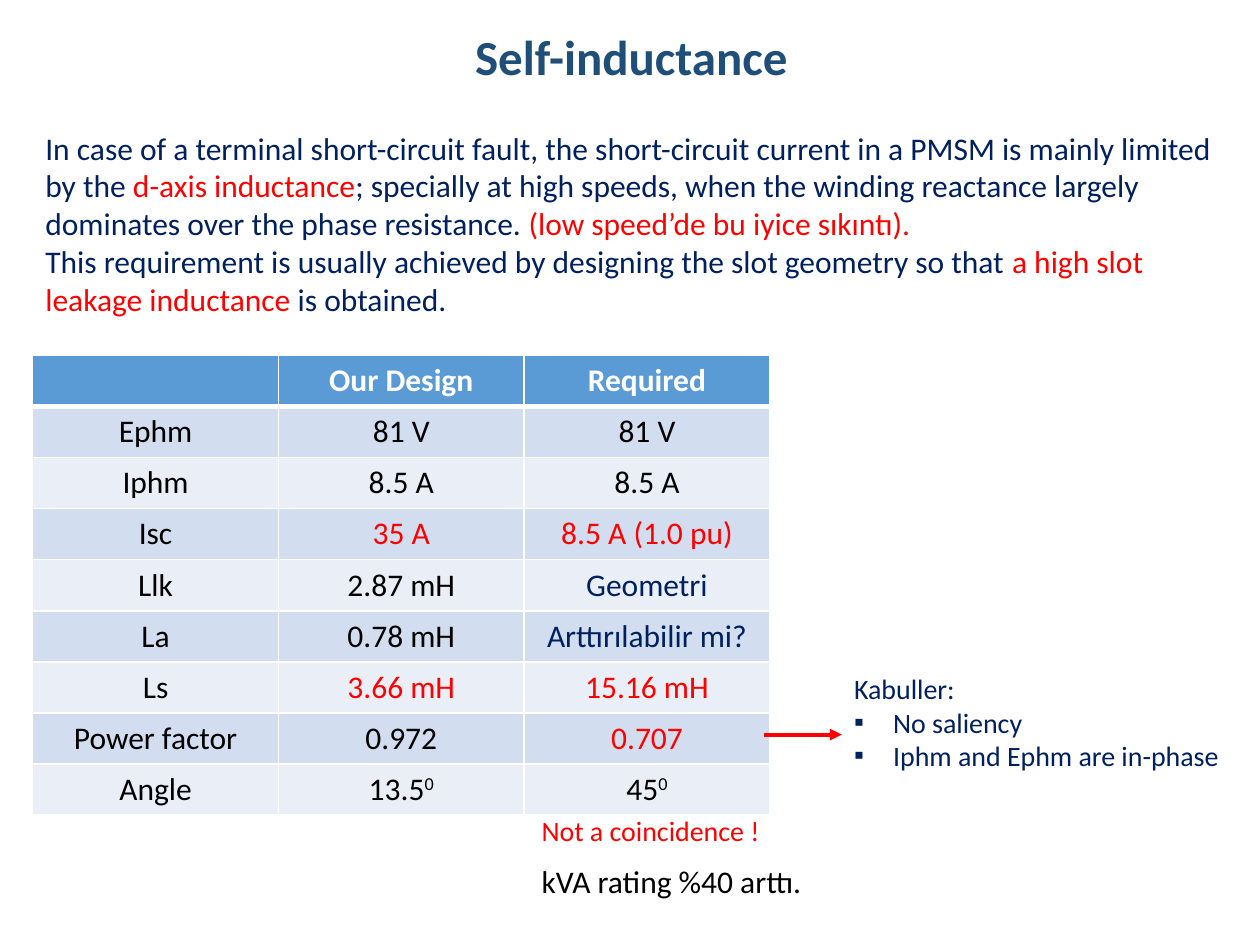
from lxml.etree import SubElement
from pptx import Presentation
from pptx.dml.color import RGBColor
from pptx.enum.shapes import MSO_CONNECTOR
from pptx.enum.text import MSO_ANCHOR, PP_ALIGN
from pptx.oxml.ns import qn
from pptx.util import Inches, Pt

W, H = Inches(10), Inches(7.5)
COL, ROW = W / 100, H / 75  # layout grid: 100 columns by 75 rows

FONT = "Calibri"
TITLE_BLUE = RGBColor(0x1F, 0x4E, 0x79)
NAVY = RGBColor(0x00, 0x20, 0x60)
RED = RGBColor(0xFF, 0x00, 0x00)
BLACK = RGBColor(0x00, 0x00, 0x00)
WHITE = RGBColor(0xFF, 0xFF, 0xFF)
HEADER_FILL = RGBColor(0x5B, 0x9B, 0xD5)
BAND_FILLS = RGBColor(0xD2, 0xDE, 0xEF), RGBColor(0xEA, 0xEF, 0xF7)

INTRO = [
    [("In case of a terminal short-circuit fault, the short-circuit current in a "
      "PMSM is mainly limited by the ", NAVY),
     ("d-axis inductance", RED),
     ("; specially at high speeds, when the winding reactance largely dominates "
      "over the phase resistance. ", NAVY),
     ("(low speed’de bu iyice sıkıntı).", RED)],
    [("This requirement is usually achieved by designing the slot geometry so that ", NAVY),
     ("a high slot leakage inductance", RED),
     (" is obtained.", NAVY)],
]
DESIGN_ROWS = [
    ("", "Our Design", "Required"),
    ("Ephm", "81 V", "81 V"),
    ("Iphm", "8.5 A", "8.5 A"),
    ("Isc", "35 A", "8.5 A (1.0 pu)"),
    ("Llk", "2.87 mH", "Geometri"),
    ("La", "0.78 mH", "Arttırılabilir mi?"),
    ("Ls", "3.66 mH", "15.16 mH"),
    ("Power factor", "0.972", "0.707"),
    ("Angle", "13.5^0", "45^0"),
]
CELL_COLORS = {(3, 1): RED, (3, 2): RED, (4, 2): NAVY, (5, 2): NAVY,
               (6, 1): RED, (6, 2): RED, (7, 2): RED}


def grid_box(left, top, width, height):
    return [round(n) for n in (left * COL, top * ROW, width * COL, height * ROW)]


def add_run(p, text, size, color, bold=False):
    r = p.add_run()
    r.text = text
    r.font.name, r.font.size, r.font.bold = FONT, Pt(size), bold
    r.font.color.rgb = color
    return r


def set_bullet(p, char=None, indent=0):
    """Give the paragraph a hanging bullet, or none."""
    pPr = p._p.get_or_add_pPr()
    pPr.set("marL", str(indent))
    pPr.set("indent", str(-indent))
    if char:
        SubElement(pPr, qn("a:buFont"), typeface="Arial")
        SubElement(pPr, qn("a:buChar"), char=char)
    else:
        SubElement(pPr, qn("a:buNone"))


def place(sp, box):
    sp.left, sp.top, sp.width, sp.height = box


def fill_title(s, box):
    sp = s.shapes.title
    place(sp, box)
    p = sp.text_frame.paragraphs[0]
    p.alignment = PP_ALIGN.CENTER
    add_run(p, "Self-inductance", 28, TITLE_BLUE, True)


def fill_intro(s, box):
    sp = s.placeholders[1]
    place(sp, box)
    tf = sp.text_frame
    tf.vertical_anchor = MSO_ANCHOR.TOP
    for i, parts in enumerate(INTRO):
        p = tf.add_paragraph() if i else tf.paragraphs[0]
        p.space_before = Pt(0)
        set_bullet(p)
        for text, color in parts:
            add_run(p, text, 18, color)


def add_borders(cell, bottom):
    tcPr = cell._tc.get_or_add_tcPr()
    for side, width in (("L", 1), ("R", 1), ("T", 1), ("B", bottom)):
        ln = SubElement(tcPr, qn("a:ln" + side), w=str(Pt(width)))
        SubElement(SubElement(ln, qn("a:solidFill")), qn("a:srgbClr"), val=str(WHITE))


def add_design_table(s, box):
    rows, cols = len(DESIGN_ROWS), len(DESIGN_ROWS[0])
    table = s.shapes.add_table(rows, cols, *box).table
    for i, values in enumerate(DESIGN_ROWS):
        header = i == 0
        for j, value in enumerate(values):
            cell = table.cell(i, j)
            add_borders(cell, 3 if header else 1)
            cell.fill.solid()
            cell.fill.fore_color.rgb = HEADER_FILL if header else BAND_FILLS[(i - 1) % 2]
            color = WHITE if header else CELL_COLORS.get((i, j), BLACK)
            p = cell.text_frame.paragraphs[0]
            p.alignment = PP_ALIGN.CENTER
            base, _, power = value.partition("^")
            if base:
                add_run(p, base, 18, color, header)
            if power:
                r = add_run(p, power, 18, color)
                r._r.get_or_add_rPr().set("baseline", "30000")


def add_note(s, box, lines, size, color):
    """Add a text box whose lines after the first are bulleted."""
    tf = s.shapes.add_textbox(*box).text_frame
    tf.word_wrap = True
    for i, line in enumerate(lines):
        p = tf.add_paragraph() if i else tf.paragraphs[0]
        if i:
            set_bullet(p, "▪", Inches(0.31))
        add_run(p, line, size, color)


def add_arrow(s, left, right, row):
    x1, y, x2, _ = grid_box(left, row, right, 0)
    line = s.shapes.add_connector(MSO_CONNECTOR.STRAIGHT, x1, y, x2, y)
    line.line.color.rgb = RED
    line.line.width = Pt(2.25)
    SubElement(line.line._get_or_add_ln(), qn("a:tailEnd"), type="triangle")
    SubElement(line._element.spPr, qn("a:effectLst"))


def main():
    prs = Presentation()
    prs.slide_width, prs.slide_height = W, H
    s = prs.slides.add_slide(prs.slide_layouts[1])
    fill_title(s, grid_box(5.2, 1.6, 89.8, 5.7))
    fill_intro(s, grid_box(2.6, 9.7, 96.2, 16.2))
    add_design_table(s, grid_box(2.6, 28.2, 58.5, 36.5))
    add_note(s, grid_box(66.8, 52.8, 33.2, 9.1),
             ["Kabuller:", "No saliency", "Iphm and Ephm are in-phase"], 16, NAVY)
    add_arrow(s, 60.6, 66.8, 58.3)
    add_note(s, grid_box(42, 64.1, 33.2, 3.7), ["Not a coincidence !"], 16, RED)
    add_note(s, grid_box(42, 67.9, 33.2, 4), ["kVA rating %40 arttı."], 18, BLACK)
    prs.save("out.pptx")


if __name__ == "__main__":
    main()
